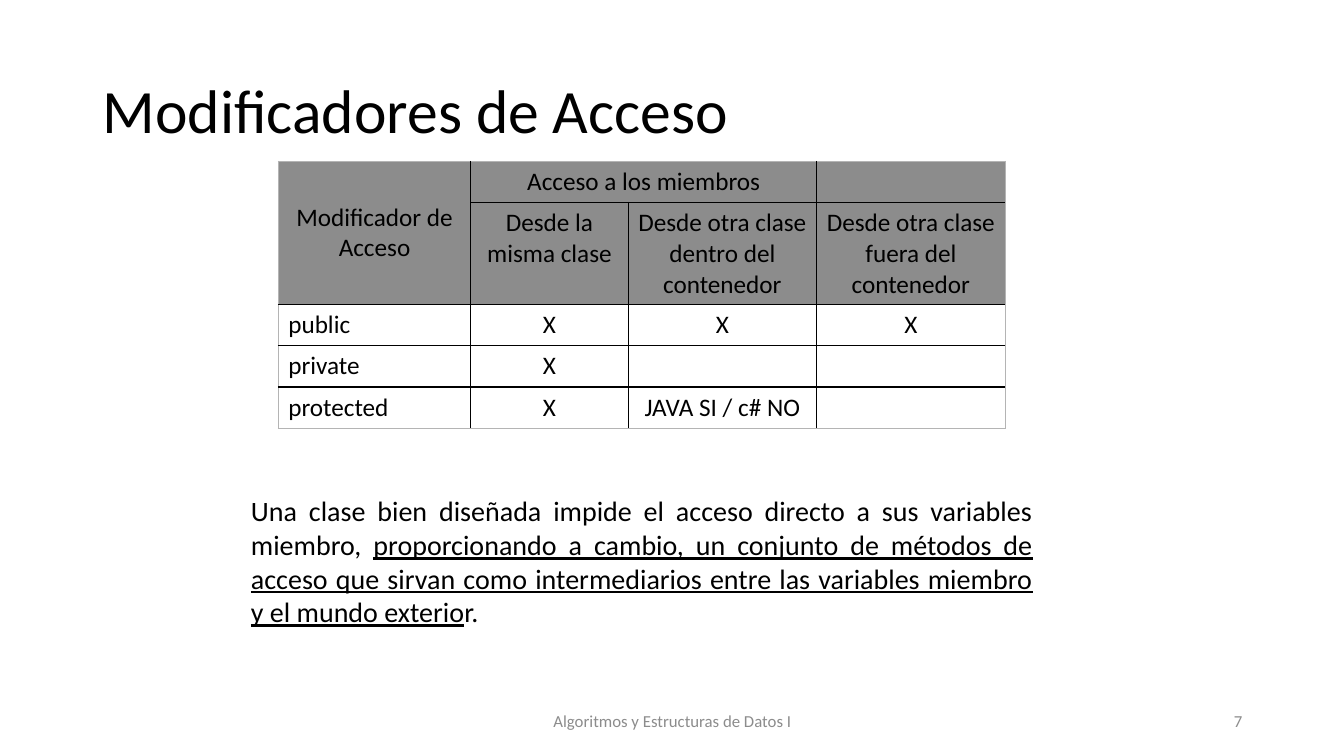
import pptx
import pptx.dml.color
import pptx.enum.text
import pptx.oxml
import pptx.oxml.ns
import pptx.util

ALIGN = pptx.enum.text.PP_ALIGN
ANCHOR = pptx.enum.text.MSO_ANCHOR
BLACK, GRAY, EDGE = "000000", "8C8C8C", "B4B4B4"


def color(value):
    return pptx.dml.color.RGBColor.from_string(value)


class SlideBuilder:
    """Places styled elements on a slide whose grid has cells of a tenth of an inch."""

    font_name = "Calibri"
    cell_size = pptx.util.Inches(0.1)

    def __init__(self, presentation):
        self.slide = presentation.slides.add_slide(presentation.slide_layouts[6])

    def grid(self, *lengths):
        return [round(length * self.cell_size) for length in lengths]

    def style(self, paragraph, size, alignment, text_color=BLACK):
        paragraph.alignment = alignment
        paragraph.font.name = self.font_name
        paragraph.font.size = pptx.util.Pt(size)
        paragraph.font.color.rgb = color(text_color)

    def text(self, box, runs, size, alignment=ALIGN.LEFT, text_color=BLACK,
             anchor=ANCHOR.MIDDLE, line_spacing=None):
        frame = self.slide.shapes.add_textbox(*self.grid(*box)).text_frame
        frame.word_wrap = True
        frame.vertical_anchor = anchor
        paragraph = frame.paragraphs[0]
        self.style(paragraph, size, alignment, text_color)
        paragraph.line_spacing = line_spacing
        for content, underlined in runs:
            run = paragraph.add_run()
            run.text = content
            if underlined:
                run.font.underline = True

    def borders(self, cell, outer_sides):
        properties = cell._tc.get_or_add_tcPr()
        for index, side in enumerate("LRTB"):
            outer = side in outer_sides
            width = pptx.util.Pt(0.5 if outer else 1)
            properties.insert(index, pptx.oxml.parse_xml(
                f'<a:ln{side} {pptx.oxml.ns.nsdecls("a")} w="{width}"><a:solidFill>'
                f'<a:srgbClr val="{EDGE if outer else BLACK}"/></a:solidFill></a:ln{side}>'))

    def table(self, left, top, widths, heights, rows, header_rows):
        box = self.grid(left, top, sum(widths), sum(heights))
        table = self.slide.shapes.add_table(len(rows), len(widths), *box).table
        for column, width in zip(table.columns, self.grid(*widths)):
            column.width = width
        for row, height in zip(table.rows, self.grid(*heights)):
            row.height = height
        last_row, last_column = len(rows) - 1, len(widths) - 1
        for row_index, row in enumerate(rows):
            for column_index, content in enumerate(row):
                cell = table.cell(row_index, column_index)
                cell.text = content
                header = row_index < header_rows
                label = column_index == 0 and not header
                self.style(cell.text_frame.paragraphs[0], 18,
                           ALIGN.LEFT if label else ALIGN.CENTER)
                if header:
                    cell.fill.solid()
                    cell.fill.fore_color.rgb = color(GRAY)
                else:
                    cell.fill.background()
                edges = {"L": column_index == 0, "R": column_index == last_column,
                         "T": row_index == 0, "B": row_index == last_row}
                self.borders(cell, [side for side, outer in edges.items() if outer])
        return table


def main():
    presentation = pptx.Presentation()
    presentation.slide_width = pptx.util.Inches(13.33)
    presentation.slide_height = pptx.util.Inches(7.5)
    builder = SlideBuilder(presentation)

    builder.text((9.2, 4, 115, 14.5), [("Modificadores de Acceso", False)], 44,
                 line_spacing=0.9)
    builder.text((44.2, 69.5, 45, 4), [("Algoritmos y Estructuras de Datos I", False)], 12,
                 ALIGN.CENTER, GRAY)
    builder.text((94.2, 69.5, 30, 4), [("7", False)], 12, ALIGN.RIGHT, GRAY)

    access_rows = [
        ("Modificador de Acceso", "Acceso a los miembros", "", ""),
        ("", "Desde la misma clase", "Desde otra clase dentro del contenedor",
         "Desde otra clase fuera del contenedor"),
        ("public", "X", "X", "X"),
        ("private", "X", "", ""),
        ("protected", "X", "JAVA SI / c# NO", ""),
    ]
    access_table = builder.table(27.6, 16, (19.1, 15.6, 18.7, 18.7),
                                 (4.1, 10.1, 4.1, 4.1, 4.1), access_rows, header_rows=2)
    modifier_header = access_table.cell(0, 0)
    modifier_header.merge(access_table.cell(1, 0))
    modifier_header.vertical_anchor = ANCHOR.MIDDLE
    access_table.cell(0, 1).merge(access_table.cell(0, 2))

    builder.text((23.9, 48.5, 79.5, 14.5), [
        ("Una clase bien diseñada impide el acceso directo a sus variables miembro, ", False),
        ("proporcionando a cambio, un conjunto de métodos de acceso que sirvan como "
         "intermediarios entre las variables miembro y el mundo exterio", True),
        ("r.", False),
    ], 20, ALIGN.JUSTIFY, anchor=ANCHOR.TOP)

    presentation.save("out.pptx")


if __name__ == "__main__":
    main()
